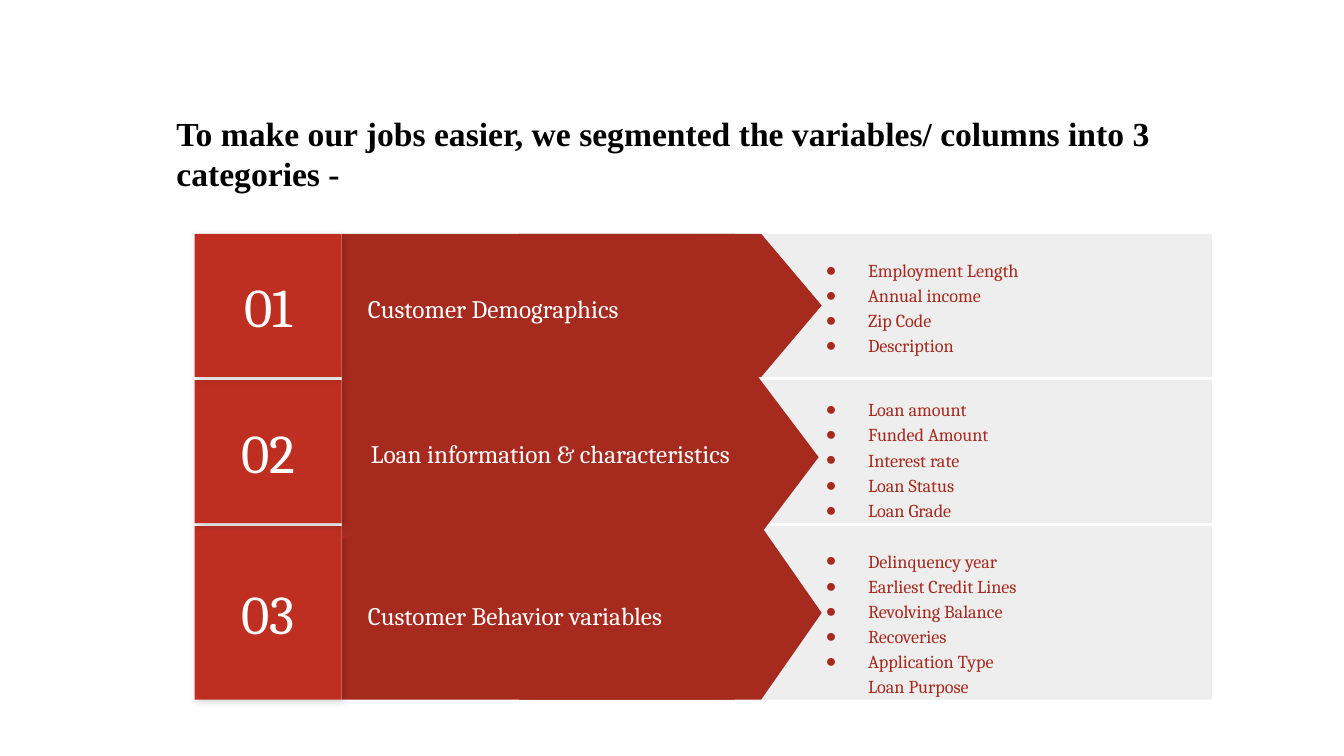
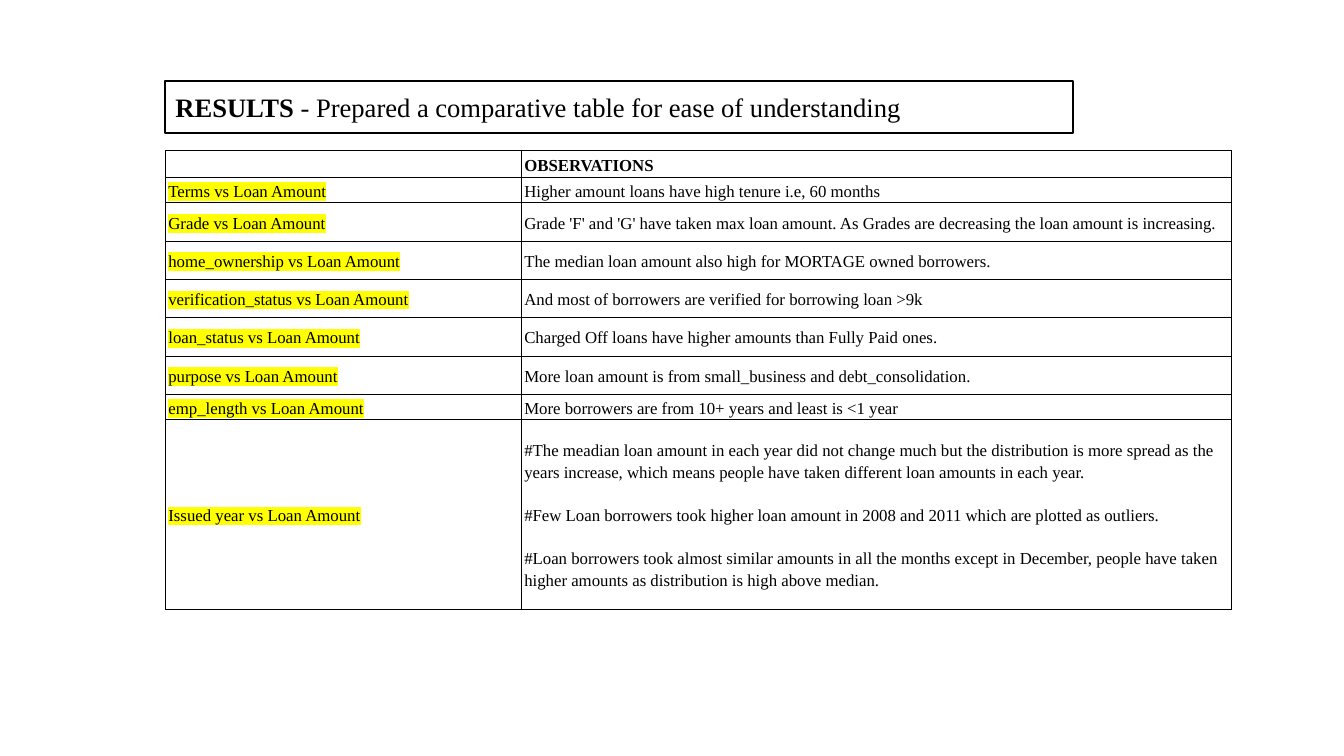
from copy import deepcopy
from dataclasses import dataclass
from typing import Any, NamedTuple

from lxml import etree
from pptx import Presentation
from pptx.dml.color import RGBColor
from pptx.enum.shapes import MSO_SHAPE
from pptx.enum.text import MSO_ANCHOR, MSO_AUTO_SIZE, PP_ALIGN
from pptx.oxml.ns import qn
from pptx.util import Inches, Pt

# Enum members
RECTANGLE = MSO_SHAPE.RECTANGLE
ARROW = MSO_SHAPE.FLOWCHART_OFFPAGE_CONNECTOR
TOP, MIDDLE, BOTTOM = MSO_ANCHOR.TOP, MSO_ANCHOR.MIDDLE, MSO_ANCHOR.BOTTOM
LEFT, CENTER = PP_ALIGN.LEFT, PP_ALIGN.CENTER

# Colours
BLACK = RGBColor(0x00, 0x00, 0x00)
WHITE = RGBColor(0xFF, 0xFF, 0xFF)
RED = RGBColor(0xBE, 0x2F, 0x22)
DARK_RED = RGBColor(0xA7, 0x2A, 0x1E)
LIGHT_GREY = RGBColor(0xEE, 0xEE, 0xEE)
YELLOW = RGBColor(0xFF, 0xFF, 0x00)

# Character formats
SERIF, TIMES = "Cambria", "Times New Roman"
TITLE = {"name": TIMES, "size": Pt(24), "bold": True}
RESULT_TITLE = {"name": TIMES, "size": Pt(19), "bold": True}
RESULT_SUBTITLE = RESULT_TITLE | {"bold": False}
NUMBER = {"name": SERIF, "size": Pt(39)}
LABEL = {"name": SERIF, "size": Pt(18)}
ITEM = {"name": SERIF, "size": Pt(13), "bold": False}
CELL = {"name": TIMES, "size": Pt(12), "bold": False}
HEADER = CELL | {"bold": True}

# Paragraph formats
PLAIN = {"alignment": LEFT, "line_spacing": 1.0, "space_before": Pt(0)}
LOOSE = PLAIN | {"line_spacing": 1.15}
CENTERED = PLAIN | {"alignment": CENTER}
CELL_GAP = Pt(15.5)


class Box(NamedTuple):
    left: float
    top: float
    width: float
    height: float


@dataclass
class Segment:
    number: str
    label: str
    row: tuple[float, float]  # top and height
    band: tuple[float, float]
    arrow: tuple[float, float]
    arrow_left: float
    label_box: Box
    list_box: Box
    items: list[str]


@dataclass
class Finding:
    subject: str
    observations: list[str]
    height: float


SEGMENTS = [
    Segment("01", "Customer Demographics", (2.32, 1.42), (2.32, 1.42), (2.32, 1.42), 5.15,
            Box(3.52, 2.49, 4.1, 1.1), Box(7.81, 2.33, 4.21, 1.42),
            ["Employment Length", "Annual income", "Zip Code", "Description"]),
    Segment("02", "Loan information & characteristics", (3.77, 1.42), (3.63, 1.72), (3.74, 1.59), 5.12,
            Box(3.55, 3.98, 4.1, 1), Box(7.81, 3.98, 4.21, 1.13),
            ["Loan amount", "Funded Amount", "Interest rate", "Loan Status", "Loan Grade"]),
    Segment("03", "Customer Behavior variables", (5.22, 1.72), (5.22, 1.72), (5.22, 1.72), 5.15,
            Box(3.52, 5.42, 4.1, 1.33), Box(7.81, 5.31, 4.21, 1.72),
            ["Delinquency year", "Earliest Credit Lines", "Revolving Balance", "Recoveries",
             "Application Type\nLoan Purpose"]),
]

FINDINGS = [
    Finding("", ["OBSERVATIONS"], 0.27),
    Finding("Terms vs Loan Amount", ["Higher amount loans have high tenure i.e, 60 months"], 0.22),
    Finding("Grade vs Loan Amount",
            ["Grade 'F' and 'G' have taken max loan amount. "
             "As Grades are decreasing the loan amount is increasing."], 0.38),
    Finding("home_ownership vs Loan Amount",
            ["The median loan amount also high for MORTAGE owned borrowers."], 0.38),
    Finding("verification_status vs Loan Amount",
            ["And most of borrowers are verified for borrowing loan >9k"], 0.38),
    Finding("loan_status vs Loan Amount",
            ["Charged Off loans have higher amounts than Fully Paid ones."], 0.38),
    Finding("purpose vs Loan Amount",
            ["More loan amount is from small_business and debt_consolidation."], 0.38),
    Finding("emp_length vs Loan Amount",
            ["More borrowers are from 10+ years and least is <1 year"], 0.22),
    Finding("Issued year vs Loan Amount",
            ["#The meadian loan amount in each year did not change much but the distribution is more "
             "spread as the years increase, which means people have taken different loan amounts in each year.",
             "#Few Loan borrowers took higher loan amount in 2008 and 2011 which are plotted as outliers.",
             "#Loan borrowers took almost similar amounts in all the months except in December, "
             "people have taken higher amounts as distribution is high above median."], 1.88),
]


def apply(target: Any, values: dict) -> None:
    for name, value in values.items():
        setattr(target, name, value)


def lengths(box: Box) -> list:
    return [Inches(value) for value in box]


def add_color(parent: Any, color: RGBColor) -> Any:
    return etree.SubElement(parent, qn("a:srgbClr"), val=str(color))


def style_span(span: Any, format_values: dict, color: RGBColor) -> None:
    apply(span.font, format_values)
    span.font.color.rgb = color


def style_frame(frame: Any, inset: float, anchor: Any) -> None:
    margins = {f"margin_{side}": Inches(inset) for side in ("left", "top", "right", "bottom")}
    apply(frame, margins | {"word_wrap": True, "vertical_anchor": anchor, "auto_size": MSO_AUTO_SIZE.NONE})


def fill_frame(frame: Any, texts: list[str], spacing: dict, format_values: dict, color: RGBColor) -> None:
    """Write one paragraph per text."""
    for index, text in enumerate(texts):
        para = frame.add_paragraph() if index else frame.paragraphs[0]
        para.text = text
        apply(para, spacing)
        for span in para.runs:
            style_span(span, format_values, color)
        for line_break in para._p.findall(qn("a:br")):
            line_break.append(deepcopy(para.runs[0]._r.rPr))


def place(shape: Any, box: Box) -> None:
    apply(shape, dict(zip(("left", "top", "width", "height"), lengths(box))))


def add_block(page: Any, kind: Any, box: Box, color: RGBColor) -> Any:
    shape = page.shapes.add_shape(kind, *lengths(box))
    shape.shadow.inherit = False
    shape.fill.solid()
    shape.fill.fore_color.rgb = color
    shape.line.fill.background()
    return shape


def add_soft_shadow(shape: Any) -> None:
    effects = shape._element.spPr.find(qn("a:effectLst"))
    shadow = etree.SubElement(effects, qn("a:outerShdw"), blurRad=str(Pt(5.6)), dist=str(Pt(2.2)),
                              dir="2700000", algn="tl", rotWithShape="0")
    etree.SubElement(add_color(shadow, BLACK), qn("a:alpha"), val="17000")


def add_bullet(para: Any) -> None:
    properties = para._p.get_or_add_pPr()
    properties.set("marL", str(Inches(0.67)))
    properties.set("indent", str(Inches(-0.42)))
    add_color(etree.SubElement(properties, qn("a:buClr")), DARK_RED)
    etree.SubElement(properties, qn("a:buChar"), char="●")


def set_title(page: Any, box: Box, spans: list[tuple[str, dict]]) -> Any:
    title = page.shapes.title
    place(title, box)
    style_frame(title.text_frame, 0.1, TOP)
    para = title.text_frame.paragraphs[0]
    apply(para, PLAIN)
    for text, format_values in spans:
        span = para.add_run()
        span.text = text
        style_span(span, format_values, BLACK)
    return title


def draw_segment(page: Any, segment: Segment, body: Any) -> None:
    # Grey panel, red band and arrow head
    add_block(page, RECTANGLE, Box(6.91, segment.row[0], 5.11, segment.row[1]), LIGHT_GREY)
    add_block(page, RECTANGLE, Box(3.39, segment.band[0], 3.9, segment.band[1]), DARK_RED)
    top, height = segment.arrow
    length = 3
    shift = (length - height) / 2  # the frame is given before its quarter turn
    arrow = add_block(page, ARROW, Box(segment.arrow_left + shift, top - shift, height, length), DARK_RED)
    arrow.rotation = 270

    # Label
    label = page.shapes.add_textbox(*lengths(segment.label_box)).text_frame
    style_frame(label, 0.13, MIDDLE)
    fill_frame(label, [segment.label], LOOSE, LABEL, WHITE)

    # Number tile
    tile = add_block(page, RECTANGLE, Box(1.93, segment.row[0], 1.46, segment.row[1]), RED)
    add_soft_shadow(tile)
    style_frame(tile.text_frame, 0.13, MIDDLE)
    fill_frame(tile.text_frame, [segment.number], CENTERED, NUMBER, WHITE)

    # Bulleted list, brought in front of its panel
    place(body, segment.list_box)
    style_frame(body.text_frame, 0.13, MIDDLE)
    fill_frame(body.text_frame, segment.items, LOOSE, ITEM, DARK_RED)
    for para in body.text_frame.paragraphs:
        add_bullet(para)
    page.shapes.element.append(body.element)


def build_segments(deck: Any) -> None:
    page = deck.slides.add_slide(deck.slide_layouts[4])
    title = set_title(page, Box(1.15, 1.02, 11.58, 1.01), [
        ("To make our jobs easier, we segmented the variables/ columns into 3 categories -", TITLE)])
    title.text_frame.paragraphs[0]._p.get_or_add_pPr().set("marL", str(Inches(0.5)))
    *bodies, spare = list(page.placeholders)[1:]
    spare.element.getparent().remove(spare.element)
    for segment, body in reversed(list(zip(SEGMENTS, bodies))):
        draw_segment(page, segment, body)


def style_cell(cell: Any, anchor: Any) -> None:
    apply(cell, {"margin_left": Inches(0.03), "margin_right": Inches(0.03),
                 "margin_top": Inches(0.02), "margin_bottom": Inches(0.02), "vertical_anchor": anchor})
    cell.fill.background()
    properties = cell._tc.get_or_add_tcPr()
    for index, side in enumerate("LRTB"):
        border = etree.Element(qn(f"a:ln{side}"), w=str(Pt(0.75)))
        add_color(etree.SubElement(border, qn("a:solidFill")), BLACK)
        properties.insert(index, border)


def highlight(span: Any) -> None:
    marker = etree.Element(qn("a:highlight"))
    add_color(marker, YELLOW)
    span._r.rPr.find(qn("a:solidFill")).addnext(marker)


def build_results(deck: Any) -> None:
    page = deck.slides.add_slide(deck.slide_layouts[5])
    title = set_title(page, Box(1.64, 0.8, 9, 0.52), [
        ("RESULTS ", RESULT_TITLE),
        ("- Prepared a comparative table for ease of understanding", RESULT_SUBTITLE)])
    title.line.color.rgb = BLACK
    title.line.width = Pt(1.5)

    # Comparison table
    frame = page.shapes.add_table(len(FINDINGS), 2, *lengths(Box(1.64, 1.49, 10.57, 4.53)))
    table = frame.table
    apply(table, {"first_row": False, "horz_banding": False})
    for column, width in zip(table.columns, (3.53, 7.04)):
        column.width = Inches(width)
    for index, finding in enumerate(FINDINGS):
        table.rows[index].height = Inches(finding.height)
        subject, observation = table.rows[index].cells
        for cell in (subject, observation):
            style_cell(cell, MIDDLE if index else BOTTOM)
        fill_frame(observation.text_frame, finding.observations, LOOSE, CELL if index else HEADER, BLACK)
        for para in observation.text_frame.paragraphs[1:]:
            para.space_before = CELL_GAP
        if finding.subject:
            fill_frame(subject.text_frame, [finding.subject], LOOSE, CELL, BLACK)
            highlight(subject.text_frame.paragraphs[0].runs[0])
            subject.fill.solid()
            subject.fill.fore_color.rgb = WHITE
        else:
            etree.SubElement(subject.text_frame.paragraphs[0]._p, qn("a:endParaRPr"), sz="1200")


def main() -> None:
    deck = Presentation()
    deck.slide_width, deck.slide_height = Inches(13.33), Inches(7.5)
    build_segments(deck)
    build_results(deck)
    deck.save("out.pptx")


if __name__ == "__main__":
    main()
